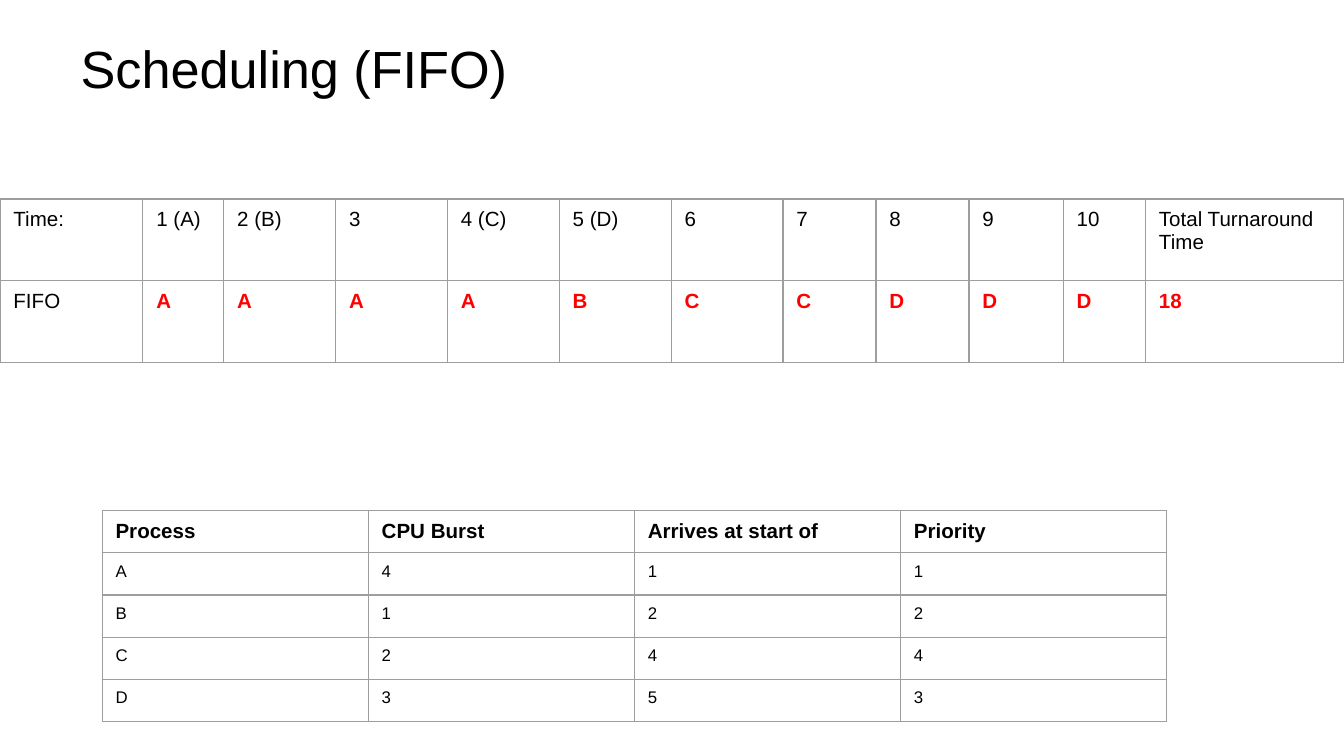
from dataclasses import dataclass

from lxml.etree import SubElement
from pptx import Presentation
from pptx.dml.color import RGBColor
from pptx.enum.text import MSO_ANCHOR as Anchor, PP_ALIGN as Align
from pptx.oxml.ns import qn
from pptx.util import Inches, Pt


@dataclass(frozen=True)
class Theme:
    font: str = "Arial"
    text: str = "000000"
    accent: str = "FF0000"
    border: str = "9E9E9E"
    border_width: float = 0.75
    title_size: int = 28
    label_size: int = 11
    value_size: int = 9


@dataclass(frozen=True)
class TextStyle:
    size: int
    color: str
    bold: bool = False


@dataclass(frozen=True)
class Grid:
    left: float  # inches
    top: float
    width: float
    height: float
    shares: list[float]  # relative column widths
    rows: list[list[str]]
    head: TextStyle  # first row
    label: TextStyle  # first column below it
    value: TextStyle  # everything else


THEME = Theme()
WIDTH = 10
HEIGHT = WIDTH * 9 / 16
LABEL = TextStyle(THEME.label_size, THEME.text)
HEADING = TextStyle(THEME.label_size, THEME.text, bold=True)
RESULT = TextStyle(THEME.label_size, THEME.accent, bold=True)
VALUE = TextStyle(THEME.value_size, THEME.text)

# Which process runs in each time slot
TIMELINE = Grid(
    left=0, top=1.48, width=WIDTH, height=1.22,
    shares=[1.06, 0.6] + [0.83] * 5 + [0.69, 0.69, 0.7, 0.61, 1.47],
    rows=[
        ["Time:", "1 (A)", "2 (B)", "3", "4 (C)", "5 (D)",
         "6", "7", "8", "9", "10", "Total Turnaround Time"],
        ["FIFO", *"AAAABCCDDD", "18"],
    ],
    head=LABEL, label=LABEL, value=RESULT,
)

# What each process needs
PROCESSES = Grid(
    left=0.76, top=3.8, width=7.92, height=1.57,
    shares=[1] * 4,
    rows=[
        ["Process", "CPU Burst", "Arrives at start of", "Priority"],
        ["A", "4", "1", "1"],
        ["B", "1", "2", "2"],
        ["C", "2", "4", "4"],
        ["D", "3", "5", "3"],
    ],
    head=HEADING, label=VALUE, value=VALUE,
)


def write(tf, text: str, *, size: int, color: str, bold: bool = False) -> None:
    p = tf.paragraphs[0]
    p.alignment = Align.LEFT
    r = p.add_run()
    r.text = text
    r.font.name = THEME.font
    r.font.size = Pt(size)
    r.font.bold = bold
    r.font.color.rgb = RGBColor.from_string(color)


def add_borders(cell) -> None:
    props = cell._tc.get_or_add_tcPr()
    for i, side in enumerate(("lnL", "lnR", "lnT", "lnB")):
        line = props.makeelement(qn(f"a:{side}"), {"w": str(Pt(THEME.border_width))})
        fill = SubElement(line, qn("a:solidFill"))
        SubElement(fill, qn("a:srgbClr"), val=THEME.border)
        props.insert(i, line)  # borders come before the fill


def draw_grid(slide, grid: Grid) -> None:
    n_rows = len(grid.rows)
    table = slide.shapes.add_table(
        n_rows, len(grid.shares), Inches(grid.left), Inches(grid.top),
        Inches(grid.width), Inches(grid.height)).table
    table.first_row = table.horz_banding = False
    for col, share in zip(table.columns, grid.shares):
        col.width = Inches(grid.width * share / sum(grid.shares))
    for i, texts in enumerate(grid.rows):
        table.rows[i].height = Inches(grid.height / n_rows)
        for j, text in enumerate(texts):
            style = grid.head if i == 0 else grid.label if j == 0 else grid.value
            cell = table.cell(i, j)
            cell.margin_left = cell.margin_right = Inches(0.1)
            cell.margin_top = cell.margin_bottom = Inches(0.07)
            cell.fill.background()
            add_borders(cell)
            write(cell.text_frame, text,
                  size=style.size, color=style.color, bold=style.bold)


def draw_title(slide, text: str) -> None:
    sp = slide.shapes.title
    sp.left, sp.top = Inches(0.05 * WIDTH), Inches(0.03 * HEIGHT)
    sp.width, sp.height = Inches(0.9 * WIDTH), Inches(0.7)
    tf = sp.text_frame
    tf.margin_left = tf.margin_right = tf.margin_top = tf.margin_bottom = Inches(0.1)
    tf.vertical_anchor = Anchor.TOP
    write(tf, text, size=THEME.title_size, color=THEME.text)


def main() -> None:
    prs = Presentation()
    prs.slide_width, prs.slide_height = Inches(WIDTH), Inches(HEIGHT)
    slide = prs.slides.add_slide(prs.slide_layouts.get_by_name("Title Only"))
    draw_title(slide, "Scheduling (FIFO)")
    for grid in (TIMELINE, PROCESSES):
        draw_grid(slide, grid)
    prs.save("out.pptx")


if __name__ == "__main__":
    main()
